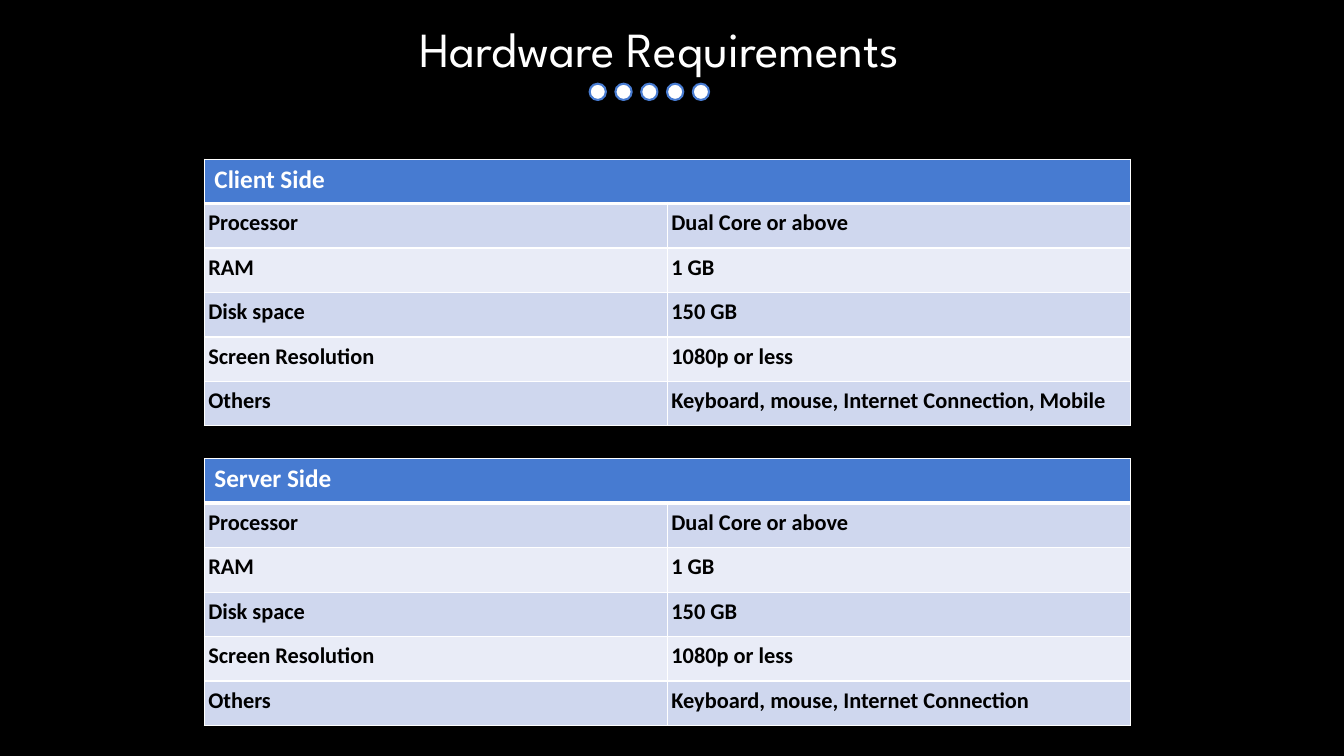
import pptx
import pptx.dml.color
import pptx.enum.shapes
import pptx.enum.text
import pptx.oxml
import pptx.oxml.ns
import pptx.util
from pptx.util import Cm

WHITE, BLACK, BLUE = "FFFFFF", "000000", "477BD1"
BANDS = ["CFD7EE", "E9ECF7"]
ALIGN = pptx.enum.text.PP_ALIGN
SHAPE = pptx.enum.shapes.MSO_SHAPE
NS = pptx.oxml.ns.nsdecls("a")


def paint(fill, color):
    fill.solid()
    fill.fore_color.rgb = pptx.dml.color.RGBColor.from_string(color)


def write(tf, text, size, color, font="Calibri", bold=False, align=None,
          spacing=None, after=None):
    p = tf.paragraphs[0]
    p.alignment = align
    p.line_spacing = spacing
    if after is not None:
        p.space_after = pptx.util.Pt(after)
    r = p.add_run()
    r.text = text
    r.font.size = pptx.util.Pt(size)
    r.font.name = font
    r.font.bold = bold
    paint(r.font.fill, color)


def style_cell(cell, color, bottom=1):
    paint(cell.fill, color)
    widths = {"lnL": 1, "lnR": 1, "lnT": 1, "lnB": bottom}
    for i, (tag, width) in enumerate(widths.items()):
        line = pptx.oxml.parse_xml(
            f'<a:{tag} {NS} w="{pptx.util.Pt(width)}"><a:solidFill>'
            f'<a:srgbClr val="{WHITE}"/></a:solidFill></a:{tag}>')
        cell._tc.get_or_add_tcPr().insert(i, line)


def add_requirements(s, top, heading, rows):
    row_height = Cm(1.12)
    count = len(rows) + 1
    table = s.shapes.add_table(count, 2, Cm(5.15), top, Cm(23.34),
                               row_height * count).table
    for row in table.rows:
        row.height = row_height
    for cell in table.rows[0].cells:
        style_cell(cell, BLUE, bottom=3)
    header = table.cell(0, 0)
    header.merge(table.cell(0, 1))
    write(header.text_frame, heading, 18, WHITE, bold=True)
    for i, texts in enumerate(rows):
        for cell, text in zip(table.rows[i + 1].cells, texts):
            style_cell(cell, BANDS[i % 2], bottom=1)
            cell.margin_left = cell.margin_right = Cm(0.1)
            cell.margin_top = cell.margin_bottom = Cm(0.1)
            write(cell.text_frame, text, 16, BLACK, bold=True,
                  align=ALIGN.JUSTIFY, spacing=1.07, after=8)


def add_band(s):
    sp = s.shapes.add_shape(SHAPE.RECTANGLE, 0, Cm(-0.1), Cm(33.87), Cm(3.15))
    sp.shadow.inherit = False
    sp.line.fill.background()
    paint(sp.fill, BLACK)
    color = sp.fill._xPr.find(".//" + pptx.oxml.ns.qn("a:srgbClr"))
    color.append(pptx.oxml.parse_xml(f'<a:alpha {NS} val="50000"/>'))


def add_title(s, text):
    tf = s.shapes.add_textbox(Cm(9.04), Cm(0.33), Cm(15.16), Cm(1.75)).text_frame
    tf.word_wrap = True
    tf.auto_size = pptx.enum.text.MSO_AUTO_SIZE.SHAPE_TO_FIT_TEXT
    write(tf, text, 35, WHITE, font="League Spartan", align=ALIGN.CENTER)


def add_dots(s, count):
    group = s.shapes.add_group_shape()
    for i in range(count):
        sp = group.shapes.add_shape(SHAPE.OVAL, Cm(14.86 + 0.65 * i), Cm(2.11),
                                    Cm(0.41), Cm(0.41))
        sp.shadow.inherit = False
        paint(sp.fill, WHITE)
        paint(sp.line.fill, BLUE)
        sp.line.width = pptx.util.Pt(1.5)


def main():
    prs = pptx.Presentation()
    prs.slide_width, prs.slide_height = Cm(33.87), Cm(19.05)
    s = prs.slides.add_slide(prs.slide_layouts[6])
    paint(s.background.fill, BLACK)
    common = [
        ("Processor", "Dual Core or above"),
        ("RAM", "1 GB"),
        ("Disk space", "150 GB"),
        ("Screen Resolution", "1080p or less"),
    ]
    extras = "Keyboard, mouse, Internet Connection"
    add_requirements(s, Cm(4.01), "Client Side",
                     common + [("Others", extras + ", Mobile")])
    add_requirements(s, Cm(11.56), "Server Side", common + [("Others", extras)])
    add_band(s)
    add_title(s, "Hardware Requirements")
    add_dots(s, 5)
    prs.save("out.pptx")


if __name__ == "__main__":
    main()
